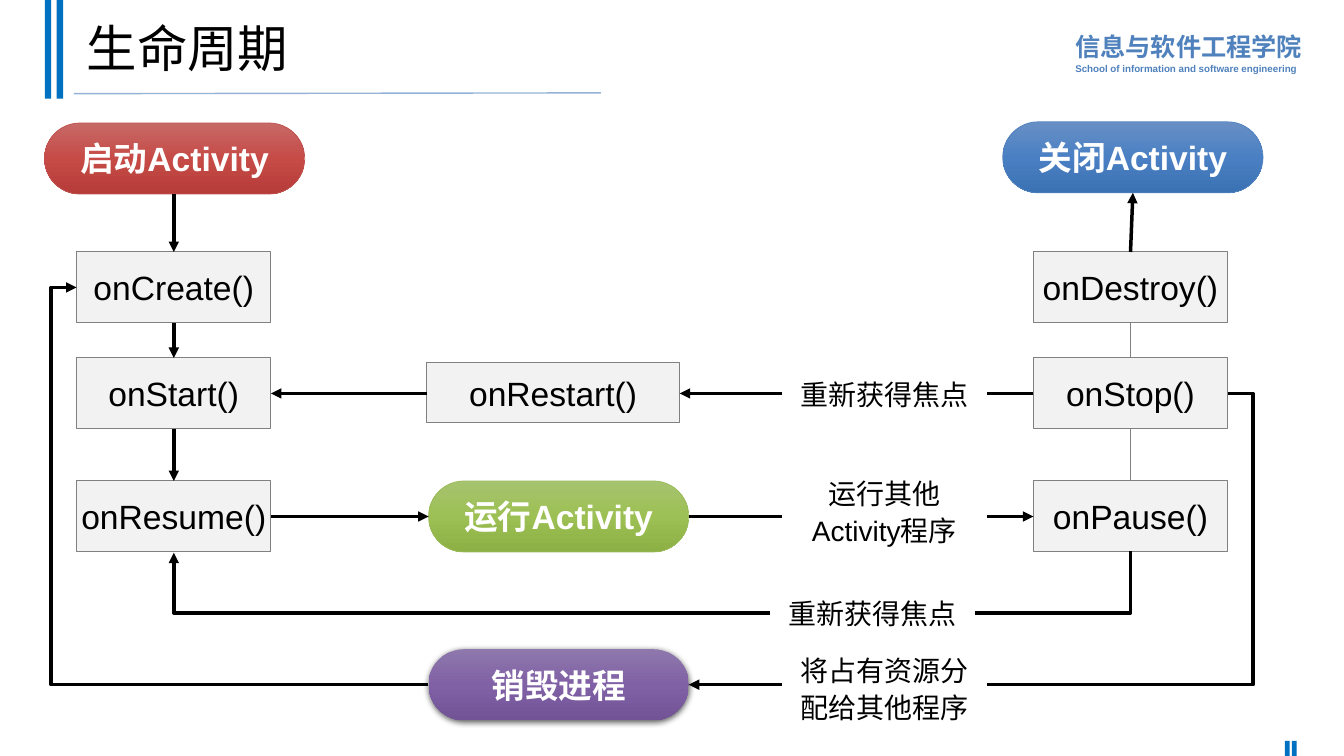
from copy import deepcopy
from lxml import etree
from pptx import Presentation
from pptx.dml.color import RGBColor
from pptx.enum import shapes, text
from pptx.oxml import ns
from pptx.util import Cm, Pt

HUES = {
    "black": "000000", "white": "FFFFFF", "gray": "808080", "pale": "F2F2F2",
    "bar": "0070C0", "rule": "95B3D7", "school": "4F81BD",
}
PILLS = {
    "启动Activity": (1.12, 3.1, "C0504D", ("C76967", "C64B47", "B63C39")),
    "关闭Activity": (25.27, 3.07, "4F81BD", ("688FC5", "4A80C3", "3B72B3")),
    "运行Activity": (10.8, 12.12, "9BBB59", ("A6C36F", "9DC054", "8DB045")),
    "销毁进程": (10.8, 16.36, None, ("8E78AC", "8061A5", "715396")),
}
LEFT, RIGHT, WIDE, TALL = 1.93, 26.04, 4.9, 1.79
ROWS = (6.35, 9.02, 12.12)
MIDS = [row + TALL / 2 for row in ROWS]
PILL = 6.56
KIND = shapes.MSO_SHAPE
STRAIGHT, ELBOW = shapes.MSO_CONNECTOR.STRAIGHT, shapes.MSO_CONNECTOR.ELBOW


def write(shape, words, size=24, hue="black", bold=False, align=text.PP_ALIGN.CENTER,
          anchor=text.MSO_ANCHOR.MIDDLE, wrap=False, gap=1.0):
    frame = shape.text_frame
    frame.word_wrap = wrap
    frame.auto_size = text.MSO_AUTO_SIZE.NONE
    frame.vertical_anchor = anchor
    sizes = size if isinstance(size, tuple) else (size,)
    frame.text = words
    for para, points in zip(frame.paragraphs, sizes):
        para.alignment = align
        para.line_spacing = gap
        for run in para.runs:
            run.font.name = "Arial"
            run.font.size = Pt(points)
            run.font.bold = bold
            run.font.color.rgb = RGBColor.from_string(HUES[hue])


def link(start, end, kind=STRAIGHT, hue="black", width=2.5, arrow=True, bend=None, turn=0):
    line = slide.shapes.add_connector(kind, *map(Cm, start + end))
    line.line.color.rgb = RGBColor.from_string(HUES[hue])
    line.line.width = Pt(width)
    props = line._element.spPr
    if arrow:
        etree.SubElement(props.find(ns.qn("a:ln")), ns.qn("a:tailEnd"), type="triangle")
    etree.SubElement(props, ns.qn("a:effectLst"))
    if turn:
        props.find(ns.qn("a:xfrm")).set("rot", str(turn * 60000))
    if bend is not None:
        guides = props.find(ns.qn("a:prstGeom")).get_or_add_avLst()
        etree.SubElement(guides, ns.qn("a:gd"), name="adj1", fmla=f"val {round(bend * 100000)}")


deck = Presentation()
deck.slide_width, deck.slide_height = Cm(33.87), Cm(19.05)
slide = deck.slides.add_slide(deck.slide_layouts[5])

title = slide.shapes.title
title.left, title.top, title.width, title.height = map(Cm, (1.93, 0.18, 29.21, 2.24))
write(title, "生命周期", size=36, align=text.PP_ALIGN.LEFT, wrap=True, gap=0.9)

school = slide.shapes.add_textbox(*map(Cm, (26.85, 0.58, 6.22, 1.42)))
write(school, "信息与软件工程学院\nSchool of information and software engineering", size=(18, 7),
      hue="school", bold=True, align=text.PP_ALIGN.LEFT, anchor=text.MSO_ANCHOR.TOP,
      wrap=True, gap=1.1)

for x, y, w, h in ((1.13, 0, 0.16, 2.49), (1.43, 0, 0.16, 2.49),
                   (32.38, 18.67, 0.12, 0.38), (32.56, 18.67, 0.12, 0.38)):
    bar = slide.shapes.add_shape(KIND.RECTANGLE, *map(Cm, (x, y, w, h)))
    bar.shadow.inherit = False
    bar.fill.solid()
    bar.fill.fore_color.rgb = RGBColor.from_string(HUES["bar"])
    bar.line.fill.background()
link((1.86, 2.36), (15.14, 2.34), hue="rule", width=1, arrow=False)

steps = [("onRestart()", 10.75, 9.14, 6.38, 1.52)]
for x, names in ((LEFT, ("onCreate()", "onStart()", "onResume()")),
                 (RIGHT, ("onDestroy()", "onStop()", "onPause()"))):
    steps += [(name, x, y, WIDE, TALL) for name, y in zip(names, ROWS)]
for name, *place in steps:
    box = slide.shapes.add_shape(KIND.RECTANGLE, *map(Cm, place))
    box.shadow.inherit = False
    box.fill.solid()
    box.fill.fore_color.rgb = RGBColor.from_string(HUES["pale"])
    box.line.color.rgb = RGBColor.from_string(HUES["gray"])
    box.line.width = Pt(0.75)
    write(box, name)

for name, (x, y, edge, tones) in PILLS.items():
    pill = slide.shapes.add_shape(KIND.ROUNDED_RECTANGLE, *map(Cm, (x, y, PILL, TALL)))
    pill.adjustments[0] = 0.5
    pill.shadow.inherit = False
    pill.fill.gradient()
    pill.fill.gradient_angle = 270
    stops = pill._element.spPr.find(".//" + ns.qn("a:gsLst"))
    stops.append(deepcopy(stops[-1]))
    for stop, tone, spot in zip(pill.fill.gradient_stops, tones, (0, 0.5, 1)):
        stop.color.rgb = RGBColor.from_string(tone)
        stop.position = spot
    if edge:
        pill.line.color.rgb = RGBColor.from_string(edge)
        pill.line.width = Pt(0.5)
    else:
        pill.line.fill.background()
        glow = etree.SubElement(pill._element.spPr.find(ns.qn("a:effectLst")), ns.qn("a:outerShdw"),
                                blurRad="57150", dist="19050", dir="5400000",
                                algn="ctr", rotWithShape="0")
        shade = etree.SubElement(glow, ns.qn("a:srgbClr"), val=HUES["black"])
        etree.SubElement(shade, ns.qn("a:alpha"), val="63000")
    write(pill, name, hue="white", bold=True)

west, east = LEFT + WIDE / 2, RIGHT + WIDE / 2
lows = [row + TALL for row in ROWS]
for start, end in zip([3.1 + TALL] + lows, ROWS):
    link((west, start), (west, end))
for start, end in zip(ROWS[1:], lows):
    link((east, start), (east, end), hue="gray", width=0.75, arrow=False)
link((east, ROWS[0]), (28.55, 3.07 + TALL))
link((LEFT + WIDE, MIDS[2]), (10.8, MIDS[2]))
link((10.8 + PILL, MIDS[2]), (RIGHT, MIDS[2]))
link((10.75, MIDS[1]), (LEFT + WIDE, MIDS[1]))
link((RIGHT, MIDS[1]), (10.75 + 6.38, MIDS[1]))

base = 16.36 + TALL / 2
link((RIGHT + WIDE, MIDS[1]), (10.8 + PILL, base), kind=ELBOW, bend=-0.047)
link((10.8, base), (LEFT, MIDS[0]), kind=ELBOW, bend=1.072)
mid, span = (west + east) / 2, east - west
link((mid - 0.02, lows[2] - span / 2), (mid + 0.02, lows[2] + span / 2),
     kind=ELBOW, bend=39, turn=90)

for words, x, y, h in (("运行其他Activity程序", 19.71, 11.79, 2.13),
                       ("将占有资源分配给其他程序", 19.71, 16.26, 2.13),
                       ("重新获得焦点", 19.41, 14.81, 1.12),
                       ("重新获得焦点", 19.71, 9.3, 1.12)):
    label = slide.shapes.add_shape(KIND.RECTANGLE, *map(Cm, (x, y, 5.16, h)))
    label.shadow.inherit = False
    label.fill.solid()
    label.fill.fore_color.rgb = RGBColor.from_string(HUES["white"])
    label.line.fill.background()
    write(label, words, size=20, anchor=text.MSO_ANCHOR.TOP, wrap=True, gap=1.1)

deck.save("out.pptx")
